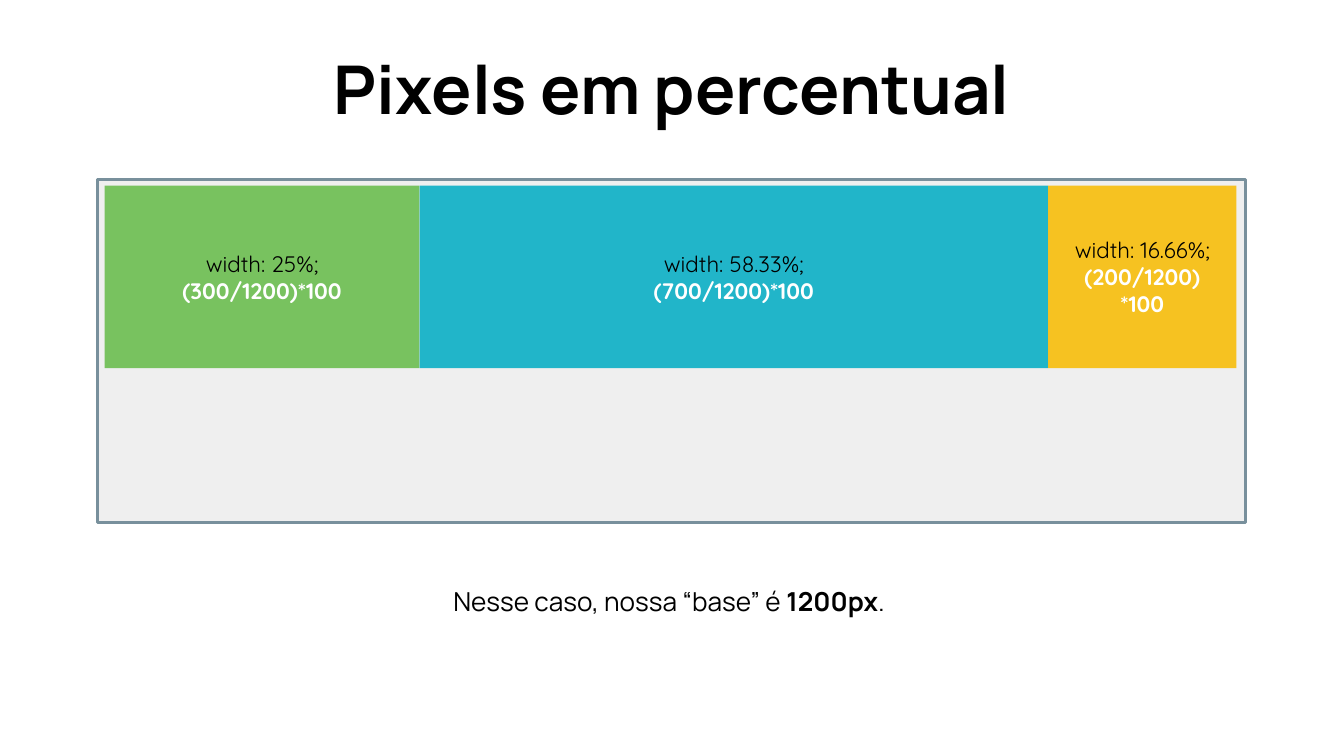
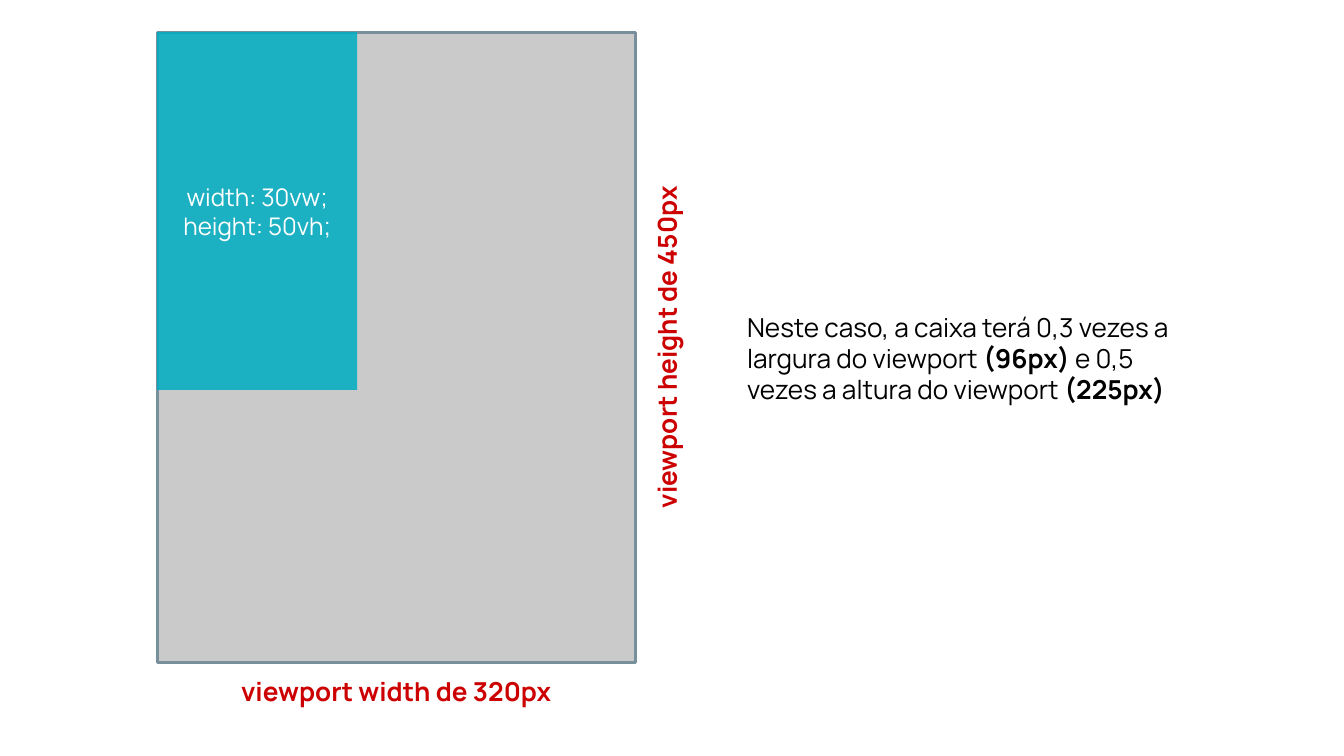
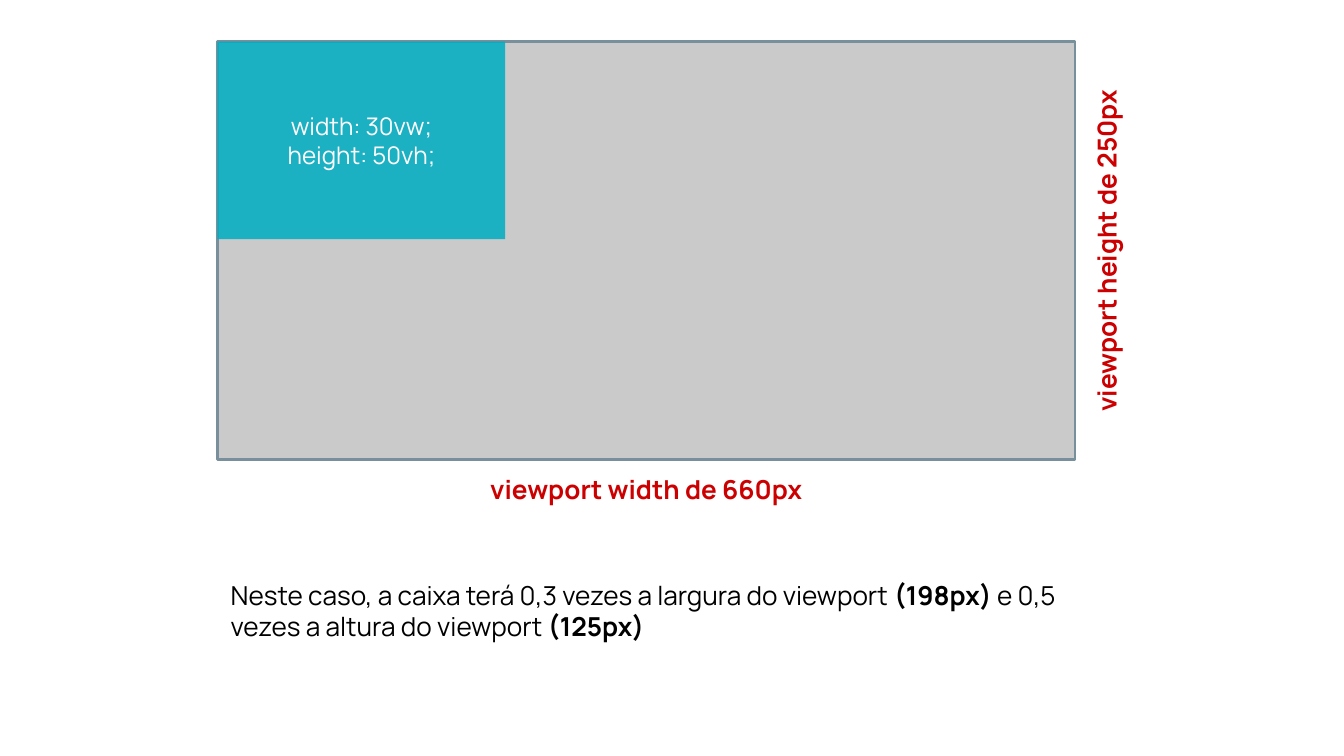
"""Build three slides on percentage and viewport units in CSS."""
from lxml.etree import SubElement
from pptx import Presentation
from pptx.dml.color import RGBColor
from pptx.enum.shapes import MSO_SHAPE
from pptx.enum.text import MSO_ANCHOR as Anchor, PP_ALIGN as Align
from pptx.oxml.ns import qn
from pptx.util import Cm, Pt

BLACK = RGBColor(0x00, 0x00, 0x00)
WHITE = RGBColor(0xFF, 0xFF, 0xFF)
LIGHT_GRAY = RGBColor(0xEF, 0xEF, 0xEF)
GRAY = RGBColor(0xCA, 0xCA, 0xCA)
SLATE = RGBColor(0x78, 0x90, 0x9C)
GREEN = RGBColor(0x65, 0xBB, 0x48)
TEAL = RGBColor(0x00, 0xAC, 0xC3)
YELLOW = RGBColor(0xF8, 0xBB, 0x00)
RED = RGBColor(0xCC, 0x00, 0x00)

LABEL_WIDTH = 8.86
LABEL_HEIGHT = 1.17
SIDE_LABEL_HEIGHT = 1.3
SIDE_LABEL_GAP = 0.69


def write_text(shape, lines, size=14, font="Manrope", color=BLACK, accent=BLACK,
               bold=False, align=Align.CENTER, anchor=Anchor.TOP, bottom=0.25):
    """Write one paragraph per line; text between bars is bold in the accent colour."""
    frame = shape.text_frame
    frame.word_wrap = True
    frame.vertical_anchor = anchor
    frame.margin_left = frame.margin_right = frame.margin_top = Cm(0.25)
    frame.margin_bottom = Cm(bottom)
    for number, line in enumerate(lines):
        paragraph = frame.add_paragraph() if number else frame.paragraphs[0]
        paragraph.alignment = align
        for position, piece in enumerate(line.split("|")):
            if not piece:
                continue
            accented = position % 2 == 1
            run = paragraph.add_run()
            run.text = piece
            run.font.size = Pt(size)
            run.font.name = font
            run.font.bold = bold or accented
            run.font.color.rgb = accent if accented else color


def add_rectangle(slide, left, top, width, height, color, outlined=False):
    """Add an outlined opaque frame or a borderless translucent block."""
    shape = slide.shapes.add_shape(
        MSO_SHAPE.RECTANGLE, Cm(left), Cm(top), Cm(width), Cm(height))
    shape.shadow.inherit = False
    shape.fill.solid()
    shape.fill.fore_color.rgb = color
    if outlined:
        shape.line.color.rgb = SLATE
        shape.line.width = Pt(1.5)
    else:
        shape.line.fill.background()
        fill_color = shape.element.spPr.find(qn("a:solidFill")).find(qn("a:srgbClr"))
        SubElement(fill_color, qn("a:alpha"), val="86000")
    return shape


presentation = Presentation()
presentation.slide_width = Cm(25.4)
presentation.slide_height = Cm(14.29)
blank_layout = presentation.slide_layouts[6]

slide = presentation.slides.add_slide(blank_layout)
add_rectangle(slide, 1.85, 3.4, 21.69, 6.48, LIGHT_GRAY, outlined=True)
columns = [
    (5.95, GREEN, ["width: 25%;", "|(300/1200)*100"]),
    (11.88, TEAL, ["width: 58.33%;", "|(700/1200)*100"]),
    (3.56, YELLOW, ["width: 16.66%;", "|(200/1200)", "|*100"]),
]
column_left = 1.98
for column_width, color, lines in columns:
    column = add_rectangle(slide, column_left, 3.51, column_width, 3.45, color)
    write_text(column, lines, size=12, font="Quicksand", accent=WHITE,
               anchor=Anchor.MIDDLE)
    column_left += column_width
title = slide.shapes.add_textbox(Cm(4.85), Cm(0.89), Cm(15.7), Cm(1.55))
write_text(title, ["Pixels em percentual"], size=36, bold=True, anchor=Anchor.MIDDLE)
caption = slide.shapes.add_textbox(Cm(5.23), Cm(10.82), Cm(14.83), Cm(1.17))
write_text(caption, ["Nesse caso, nossa “base” é |1200px|."])

viewports = [
    {"frame": (2.97, 0.61, 9.04, 11.91), "box": (3.78, 6.76), "pixels": (320, 450),
     "note": (13.87, 1.37, 8.59, 10.8), "note_bottom": 0.25,
     "result": "|(96px)| e 0,5 vezes a altura do viewport| (225px)"},
    {"frame": (4.11, 0.79, 16.21, 7.9), "box": (5.44, 3.73), "pixels": (660, 250),
     "note": (4.11, 10.36, 16.21, 2.97), "note_bottom": 0.85,
     "result": "|(198px)| e 0,5 vezes a altura do viewport |(125px)"},
]
for viewport in viewports:
    slide = presentation.slides.add_slide(blank_layout)
    left, top, width, height = viewport["frame"]
    pixel_width, pixel_height = viewport["pixels"]
    add_rectangle(slide, left, top, width, height, GRAY, outlined=True)
    box = add_rectangle(slide, left, top, *viewport["box"], TEAL)
    write_text(box, ["width: 30vw;", "height: 50vh;"], size=13, color=WHITE,
               anchor=Anchor.MIDDLE)

    width_label = slide.shapes.add_textbox(
        Cm(left + (width - LABEL_WIDTH) / 2), Cm(top + height),
        Cm(LABEL_WIDTH), Cm(LABEL_HEIGHT))
    write_text(width_label, [f"viewport width de {pixel_width}px"], color=RED, bold=True)

    height_label = slide.shapes.add_textbox(
        Cm(left + width + SIDE_LABEL_GAP - LABEL_WIDTH / 2),
        Cm(top + (height - SIDE_LABEL_HEIGHT) / 2),
        Cm(LABEL_WIDTH), Cm(SIDE_LABEL_HEIGHT))
    height_label.rotation = 270
    write_text(height_label, [f"viewport height de {pixel_height}px"], color=RED, bold=True)

    note = slide.shapes.add_textbox(*[Cm(length) for length in viewport["note"]])
    write_text(note, ["Neste caso, a caixa terá 0,3 vezes a largura do viewport "
                      + viewport["result"]],
               align=Align.LEFT, anchor=Anchor.MIDDLE, bottom=viewport["note_bottom"])

presentation.save("out.pptx")
